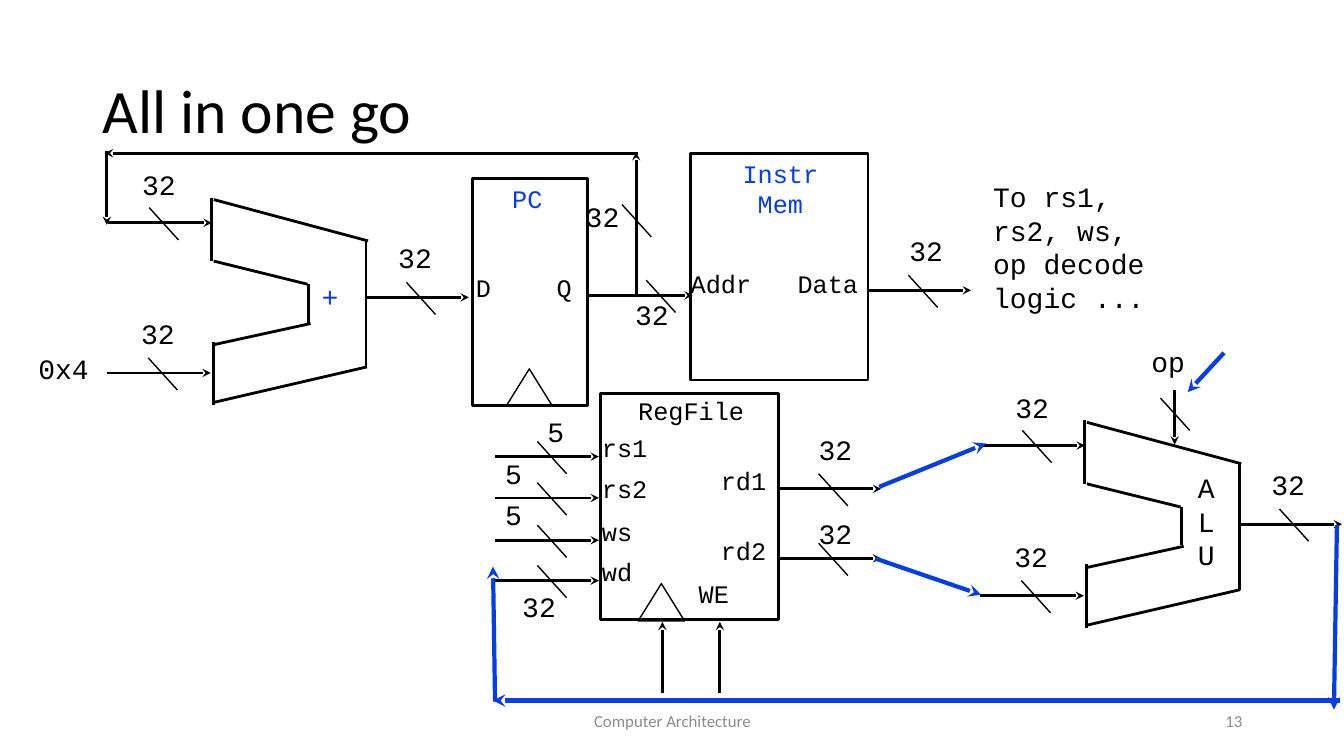
from dataclasses import dataclass

from lxml import etree
from pptx import Presentation
from pptx.dml.color import RGBColor
from pptx.enum.shapes import MSO_CONNECTOR, MSO_SHAPE
from pptx.enum.text import MSO_ANCHOR, PP_ALIGN
from pptx.oxml.ns import qn
from pptx.util import Emu, Pt

STRAIGHT = MSO_CONNECTOR.STRAIGHT
RECTANGLE = MSO_SHAPE.RECTANGLE
TRIANGLE = MSO_SHAPE.ISOSCELES_TRIANGLE
TOP, MIDDLE = MSO_ANCHOR.TOP, MSO_ANCHOR.MIDDLE
LEFT, CENTER, RIGHT = PP_ALIGN.LEFT, PP_ALIGN.CENTER, PP_ALIGN.RIGHT
EMU_PER_PX = 9144
WIRE_LENGTH = 103


def px(length):
    return Emu(length * EMU_PER_PX)


@dataclass(frozen=True)
class Theme:
    ink: RGBColor = RGBColor(0x00, 0x00, 0x00)
    accent: RGBColor = RGBColor(0x05, 0x3D, 0xE8)
    muted: RGBColor = RGBColor(0x8C, 0x8C, 0x8C)
    heading_font: str = "Calibri"
    code_font: str = "Courier New"
    title_size: int = 44
    signal_size: int = 20
    port_size: int = 18
    footer_size: int = 12
    thin: int = 1
    normal: int = 2
    thick: int = 3


class Datapath:
    def __init__(self, slide, theme):
        self.slide = slide
        self.theme = theme

    def text(self, text, left, top, width, height, *, size, font=None, color=None,
             align=LEFT, anchor=TOP, inset_x=0, inset_y=0, spacing=None):
        box = self.slide.shapes.add_textbox(px(left), px(top), px(width), px(height))
        frame = box.text_frame
        frame.word_wrap = True
        frame.vertical_anchor = anchor
        frame.margin_left = frame.margin_right = px(inset_x)
        frame.margin_top = frame.margin_bottom = px(inset_y)
        frame.text = text
        for paragraph in frame.paragraphs:
            paragraph.alignment = align
            paragraph.line_spacing = spacing
            paragraph.font.size = Pt(size)
            paragraph.font.name = font or self.theme.code_font
            paragraph.font.color.rgb = color or self.theme.ink

    def heading(self, text, left, top, width, height, **style):
        self.text(text, left, top, width, height, font=self.theme.heading_font,
                  anchor=MIDDLE, inset_x=10, inset_y=5, **style)

    def signal(self, text, left, top, color=None):
        self.text(text, left, top, 17 * len(text) + 12, 44,
                  size=self.theme.signal_size, color=color)

    def port(self, text, left, top, **style):
        self.text(text, left, top, 15 * len(text) + 12, 42,
                  size=self.theme.port_size, **style)

    def outline(self, kind, left, top, width, height, weight):
        shape = self.slide.shapes.add_shape(kind, px(left), px(top), px(width), px(height))
        shape.shadow.inherit = False
        shape.fill.background()
        shape.line.color.rgb = self.theme.ink
        shape.line.width = Pt(weight)

    def block(self, left, top, width):
        self.outline(RECTANGLE, left, top, width, 225, self.theme.normal)

    def clock(self, left, top):
        self.outline(TRIANGLE, left, top, 46, 37, self.theme.thin)

    def line(self, start_x, start_y, end_x, end_y, weight=None, color=None, arrow=False):
        connector = self.slide.shapes.add_connector(
            STRAIGHT, px(start_x), px(start_y), px(end_x), px(end_y))
        connector.line.color.rgb = color or self.theme.ink
        connector.line.width = Pt(weight or self.theme.normal)
        properties = connector.element.spPr
        if arrow:
            etree.SubElement(properties.find(qn("a:ln")), qn("a:tailEnd"), type="stealth")
        etree.SubElement(properties, qn("a:effectLst"))

    def arrow(self, start_x, start_y, end_x, end_y):
        self.line(start_x, start_y, end_x, end_y, arrow=True)

    def highlight(self, start_x, start_y, end_x, end_y):
        self.line(start_x, start_y, end_x, end_y, self.theme.thick, self.theme.accent, True)

    def slash(self, left, top):
        self.line(left, top, left + 29, top + 32, self.theme.thin)

    def bus(self, left, y, bits, label_left, label_top, slash_offset=41):
        self.arrow(left, y, left + WIRE_LENGTH, y)
        self.slash(left + slash_offset, y - 15)
        self.signal(bits, label_left, label_top)

    def arithmetic_unit(self, left, top, output_y):
        for start_x, start_y, end_x, end_y in (
            (0, 0, 0, 63), (2, 143, 2, 206), (96, 86, 96, 124), (2, 63, 95, 86),
            (2, 146, 98, 125), (2, 2, 155, 43), (3, 203, 154, 168), (153, 42, 153, 168),
        ):
            self.line(left + start_x, top + start_y, left + end_x, top + end_y)
        self.bus(left - 103, top + 25, "32", left - 69, top - 30)
        self.bus(left - 104, top + 174, "32", left - 70, top + 118)
        self.bus(left + 152, output_y, "32", left + 185, output_y - 56)


def draw_fetch(path):
    theme = path.theme
    path.block(685, 152, 176)
    path.bus(860, 288, "32", 902, 232)
    path.port("Addr", 685, 266)
    path.port("Data", 791, 266)
    path.text("Instr\nMem", 730, 157, 88, 72, size=theme.port_size,
              color=theme.accent, align=CENTER)

    path.block(469, 177, 114)
    path.bus(584, 293, "32", 630, 295, slash_offset=57)
    path.port("D", 472, 270)
    path.port("PC", 502, 182, color=theme.accent, align=CENTER)
    path.port("Q", 552, 270)
    path.clock(502, 366)

    path.arithmetic_unit(210, 196, 295)
    path.signal("+", 319, 277, theme.accent)
    path.signal("0x4", 38, 349)

    path.arrow(631, 295, 631, 151)
    path.slash(617, 203)
    path.signal("32", 581, 198)
    path.arrow(633, 152, 104, 152)
    path.arrow(106, 150, 106, 223)
    path.text("To rs1,\nrs2, ws, op decode\nlogic ...", 985, 178, 176, 144,
              size=theme.signal_size)


def draw_registers(path):
    path.block(596, 390, 176)
    path.port("RegFile", 627, 392, align=CENTER)
    for name, y, label_top, port_top in (("rd1", 485, 429, 462), ("rd2", 554, 512, 531)):
        path.bus(771, y, "32", 812, label_top)
        path.port(name, 715, port_top)
    for name, y, bits, label_left, label_top in (
        ("rs1", 453, "5", 543, 411), ("rs2", 494, "5", 501, 453),
        ("ws", 536, "5", 501, 494), ("wd", 576, "32", 518, 585),
    ):
        path.bus(491, y, bits, label_left, label_top, slash_offset=42)
        path.port(name, 597, y - 24)
    path.clock(633, 579)
    path.port("WE", 693, 574)
    for x in (657, 714):
        path.arrow(x, 688, x, 617)


def draw_execute(path):
    path.arithmetic_unit(1076, 417, 520)
    path.text("ALU", 1188, 467, 31, 111, size=path.theme.signal_size)
    path.arrow(1165, 387, 1165, 441)
    path.slash(1151, 395)
    path.signal("op", 1142, 342)
    for start_x, start_y, end_x, end_y in (
        (1329, 695, 489, 695), (872, 483, 978, 440), (1326, 521, 1323, 704),
        (491, 696, 489, 562), (868, 554, 973, 590), (1214, 350, 1178, 389),
    ):
        path.highlight(start_x, start_y, end_x, end_y)


def main():
    presentation = Presentation()
    presentation.slide_width, presentation.slide_height = px(1333), px(750)
    slide = presentation.slides.add_slide(presentation.slide_layouts[6])
    theme = Theme()
    path = Datapath(slide, theme)
    path.heading("All in one go", 92, 40, 1150, 145, size=theme.title_size, spacing=0.9)
    path.heading("Computer Architecture", 442, 695, 450, 40, size=theme.footer_size,
                 color=theme.muted, align=CENTER)
    path.heading("13", 942, 695, 300, 40, size=theme.footer_size,
                 color=theme.muted, align=RIGHT)
    draw_fetch(path)
    draw_registers(path)
    draw_execute(path)
    presentation.save("out.pptx")


if __name__ == "__main__":
    main()
